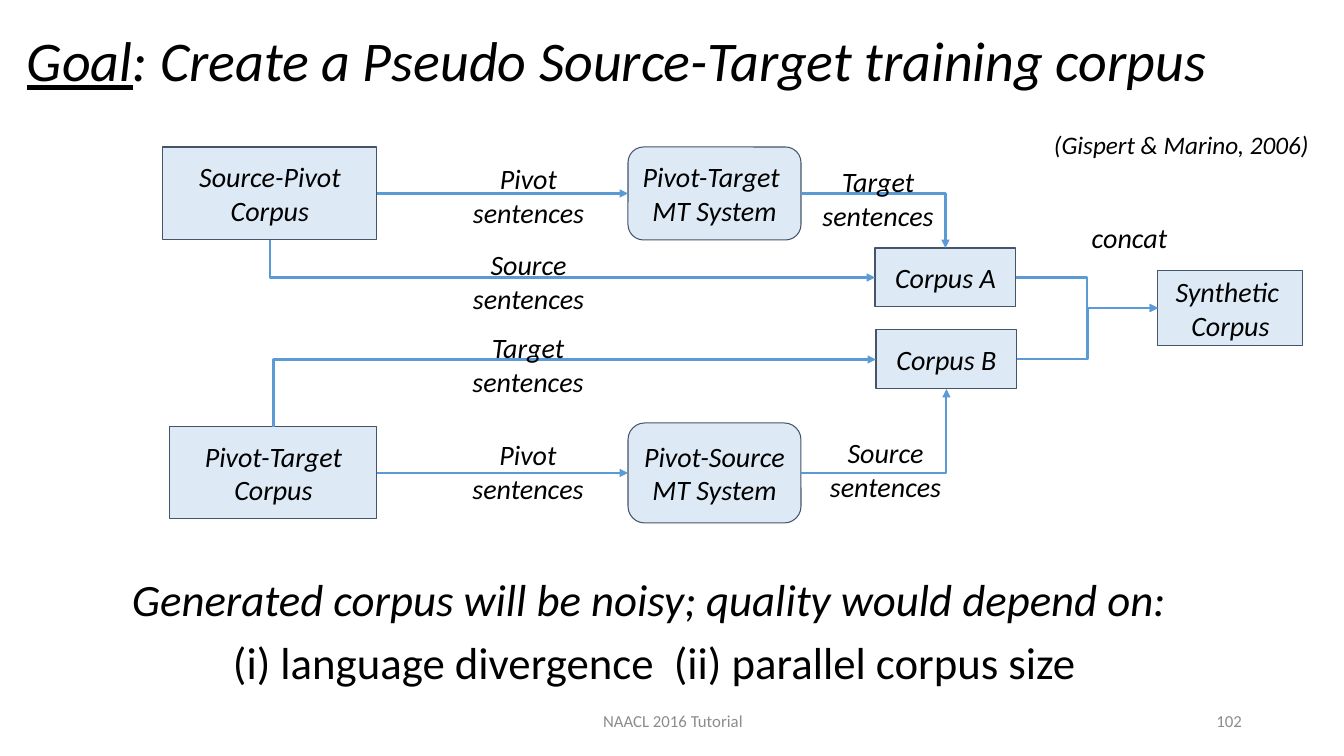
from lxml import etree
from pptx import Presentation, util as u
from pptx.dml.color import RGBColor
from pptx.enum import shapes, text
from pptx.oxml import ns

# Content: places are left, top, width, height in px
TITLE = ("Goal", ": Create a Pseudo Source-Target training corpus")
TITLE_PLACE = (17, 21, 1214, 77)
CITATION = "(Gispert & Marino, 2006)"
CITATION_PLACE = (1044, 124, 278, 40)
SUMMARY_PLACE = (97, 568, 1207, 133)
SUMMARY = [  # wording, italic, indent in px, points before
    ("Generated corpus will be noisy; quality would depend on:", True, 25, 0),
    ("(i) language divergence  (ii) parallel corpus size", False, 126, 10),
]
BOXES = {  # name: lines, place, rounded
    "source-pivot": (["Source-Pivot", "Corpus"], (163, 147, 214, 93), False),
    "to target": (["Pivot-Target ", "MT System"], (628, 147, 173, 93), True),
    "to source": (["Pivot-Source ", "MT System"], (628, 423, 173, 100), True),
    "pivot-target": (["Pivot-Target", "Corpus"], (170, 427, 207, 92), False),
    "corpus A": (["Corpus A"], (875, 248, 141, 59), False),
    "corpus B": (["Corpus B"], (876, 330, 141, 59), False),
    "synthetic": (["Synthetic ", "Corpus"], (1158, 270, 145, 76), False),
}
TOP, LEFT, BOTTOM, RIGHT = range(4)  # connection sites of a box
STRAIGHT, ONE_BEND, TWO_BENDS = "line", "bentConnector2", "bentConnector3"
ARROWS = [  # start box, its site, end box, its site, route
    ("source-pivot", RIGHT, "to target", LEFT, STRAIGHT),
    ("pivot-target", RIGHT, "to source", LEFT, STRAIGHT),
    ("source-pivot", BOTTOM, "corpus A", LEFT, ONE_BEND),
    ("pivot-target", TOP, "corpus B", LEFT, ONE_BEND),
    ("corpus A", RIGHT, "synthetic", LEFT, TWO_BENDS),
    ("corpus B", RIGHT, "synthetic", LEFT, TWO_BENDS),
    ("to target", RIGHT, "corpus A", TOP, ONE_BEND),
    ("to source", RIGHT, "corpus B", BOTTOM, ONE_BEND),
]
LABELS = [
    ("Pivot sentences", (442, 157, 173, 77)),
    ("Pivot sentences", (460, 433, 136, 77)),
    ("Target sentences", (460, 326, 136, 77)),
    ("Source sentences", (453, 243, 151, 77)),
    ("Target sentences", (810, 160, 136, 77)),
    ("Source sentences", (810, 431, 151, 77)),
    ("concat", (1054, 215, 151, 44)),
]
FOOTERS = [
    ("NAACL 2016 Tutorial", (446, 701, 454, 40), text.PP_ALIGN.CENTER),
    ("102", (950, 701, 302, 40), text.PP_ALIGN.RIGHT),
]
THEME = {
    "font": "Calibri",
    "ink": "000000", "muted": "8C8C8C", "fill": "BDD7EE", "fill alpha": 50000,
    "border": "44546A", "arrow": "5B9BD5", "border width": 0.75, "arrow width": 1.5,
    "title": 40, "summary": 32, "body": 20, "citation": 18, "footer": 12,
}
EMU_PER_PX = 914400 / 100.8


def px(length):
    return u.Emu(round(length * EMU_PER_PX))


def color(name):
    return RGBColor.from_string(THEME[name])


def set_insets(frame, vertical):
    frame.margin_left = frame.margin_right = px(10)
    frame.margin_top = frame.margin_bottom = px(vertical)


def write(paragraph, runs, size, align=text.PP_ALIGN.CENTER, ink="ink", italic=True):
    for run_text in runs:
        paragraph.add_run().text = run_text
    paragraph.alignment = align
    font = paragraph.font
    font.name, font.size, font.italic = THEME["font"], u.Pt(THEME[size]), italic
    font.color.rgb = color(ink)


def new_paragraphs(frame, count):
    """Return count paragraphs of an empty frame, its first one included."""
    return [frame.paragraphs[0]] + [frame.add_paragraph() for _ in range(count - 1)]


def add_text(place, wrap=True, inset=5, fit=True):
    frame = slide.shapes.add_textbox(*map(px, place)).text_frame
    frame.word_wrap = wrap
    if fit:
        frame.auto_size = text.MSO_AUTO_SIZE.SHAPE_TO_FIT_TEXT
    set_insets(frame, inset)
    return frame


def add_box(lines, place, rounded):
    kind = shapes.MSO_SHAPE.ROUNDED_RECTANGLE if rounded else shapes.MSO_SHAPE.RECTANGLE
    shape = slide.shapes.add_shape(kind, *map(px, place))
    shape.shadow.inherit = False
    shape.fill.solid()
    shape.fill.fore_color.rgb = color("fill")
    fill_color = shape.element.spPr.find(ns.qn("a:solidFill"))[0]
    etree.SubElement(fill_color, ns.qn("a:alpha"), val=str(THEME["fill alpha"]))
    shape.line.color.rgb = color("border")
    shape.line.width = u.Pt(THEME["border width"])
    frame = shape.text_frame
    frame.vertical_anchor = text.MSO_ANCHOR.MIDDLE
    set_insets(frame, 10)
    for paragraph, line in zip(new_paragraphs(frame, len(lines)), lines):
        write(paragraph, [line], "body")
    return shape


def start_vertically(connector):
    """Turn a one-bend connector by 270 degrees, so its first leg is vertical."""
    x1, y1, x2, y2 = connector.begin_x, connector.begin_y, connector.end_x, connector.end_y
    center_x, center_y = (x1 + x2) // 2, (y1 + y2) // 2
    half_x, half_y = (x2 - x1) // 2, (y2 - y1) // 2
    connector.begin_x, connector.end_x = center_x + half_y, center_x - half_y
    connector.begin_y, connector.end_y = center_y - half_x, center_y + half_x
    connector.element.spPr.find(ns.qn("a:xfrm")).set("rot", str(270 * 60000))


def add_arrow(start, start_site, end, end_site, route):
    kinds = shapes.MSO_CONNECTOR
    kind = kinds.STRAIGHT if route == STRAIGHT else kinds.ELBOW
    connector = slide.shapes.add_connector(kind, 0, 0, 0, 0)
    connector.begin_connect(start, start_site)
    connector.end_connect(end, end_site)
    properties = connector.element.spPr
    properties.find(ns.qn("a:prstGeom")).set("prst", route)
    if start_site in (TOP, BOTTOM):
        start_vertically(connector)
    connector.line.color.rgb = color("arrow")
    connector.line.width = u.Pt(THEME["arrow width"])
    etree.SubElement(properties.find(ns.qn("a:ln")), ns.qn("a:tailEnd"), type="triangle")
    etree.SubElement(properties, ns.qn("a:effectLst"))


presentation = Presentation()
presentation.slide_width, presentation.slide_height = px(1344), px(756)
slide = presentation.slides.add_slide(presentation.slide_layouts[6])

# Summary
summary = add_text(SUMMARY_PLACE, inset=10, fit=False)
summary_paragraphs = new_paragraphs(summary, len(SUMMARY))
for paragraph, (line, italic, indent, before) in zip(summary_paragraphs, SUMMARY):
    write(paragraph, [line], "summary", text.PP_ALIGN.LEFT, italic=italic)
    paragraph.line_spacing = 0.9
    paragraph.space_before = u.Pt(before)
    paragraph._p.get_or_add_pPr().set("marL", str(px(indent)))

# Flow diagram
boxes = {name: add_box(*box) for name, box in BOXES.items()}
for start, start_site, end, end_site, route in ARROWS:
    add_arrow(boxes[start], start_site, boxes[end], end_site, route)
for label, place in LABELS:
    write(add_text(place).paragraphs[0], [label], "body")

# Citation and title
citation = add_text(CITATION_PLACE, wrap=False).paragraphs[0]
write(citation, [CITATION], "citation", text.PP_ALIGN.LEFT)
title = add_text(TITLE_PLACE, wrap=False).paragraphs[0]
write(title, TITLE, "title", text.PP_ALIGN.LEFT)
title.runs[0].font.underline = True

# Footer
for line, place, align in FOOTERS:
    footer = add_text(place, fit=False)
    footer.vertical_anchor = text.MSO_ANCHOR.MIDDLE
    write(footer.paragraphs[0], [line], "footer", align, "muted", italic=False)

presentation.save("out.pptx")
